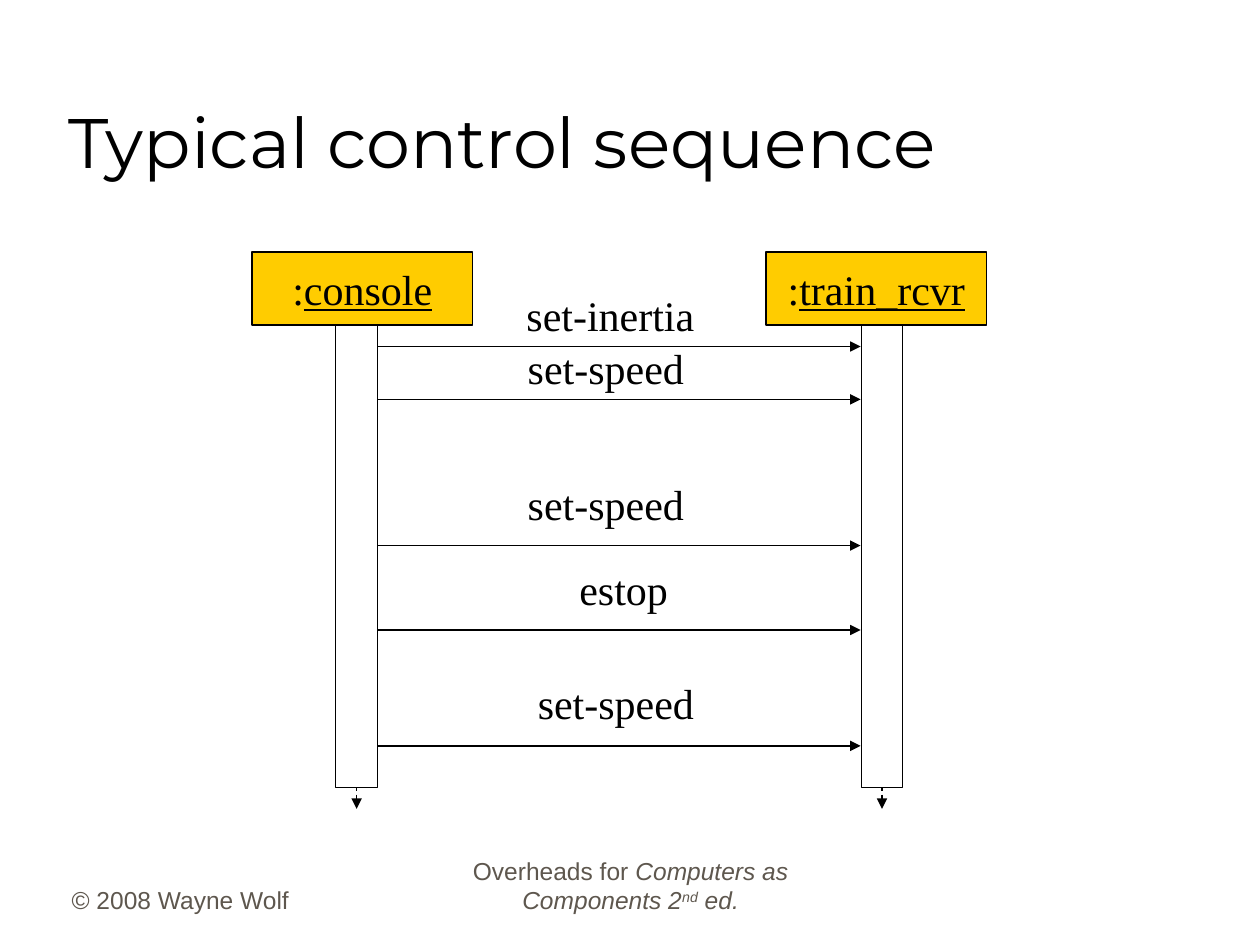
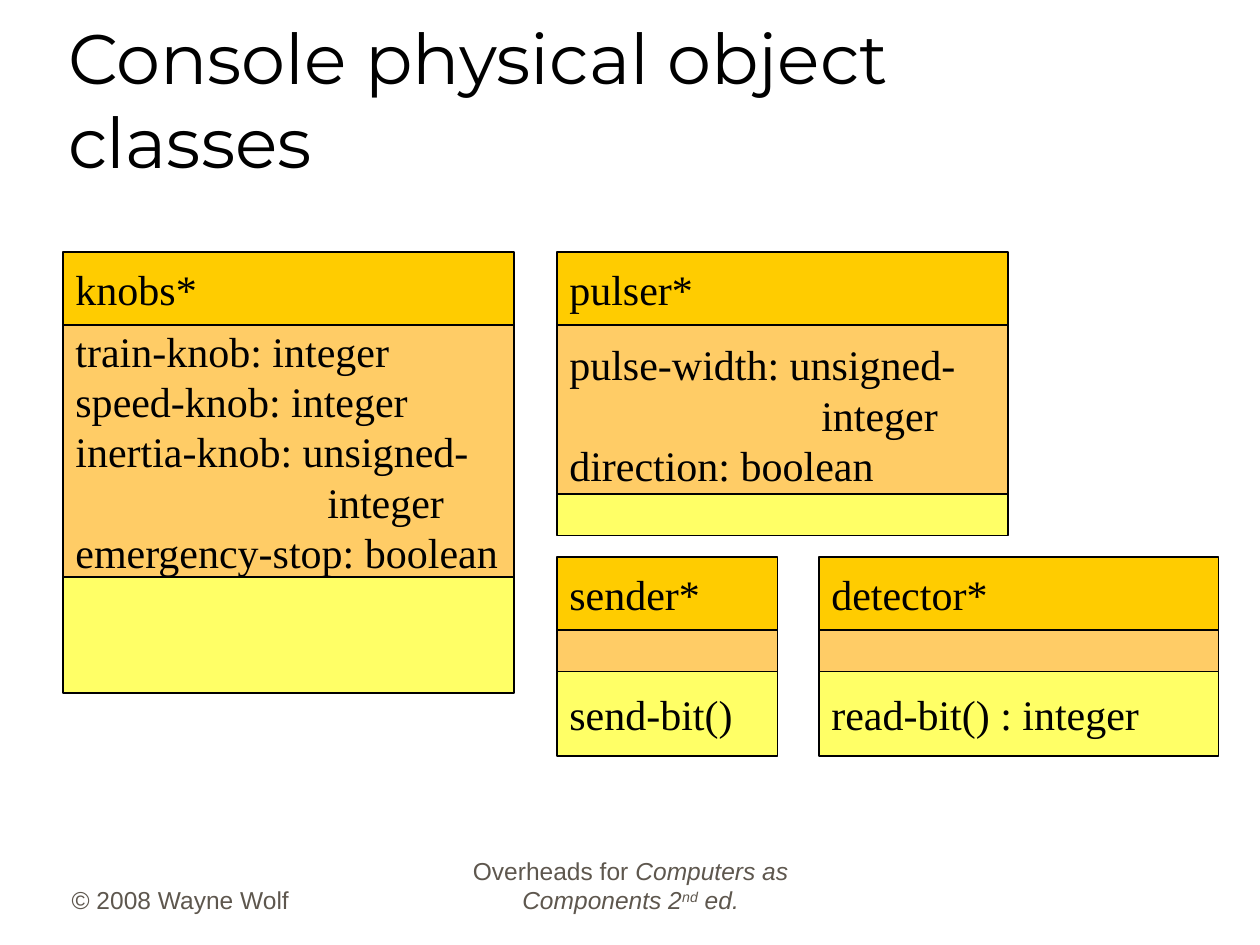
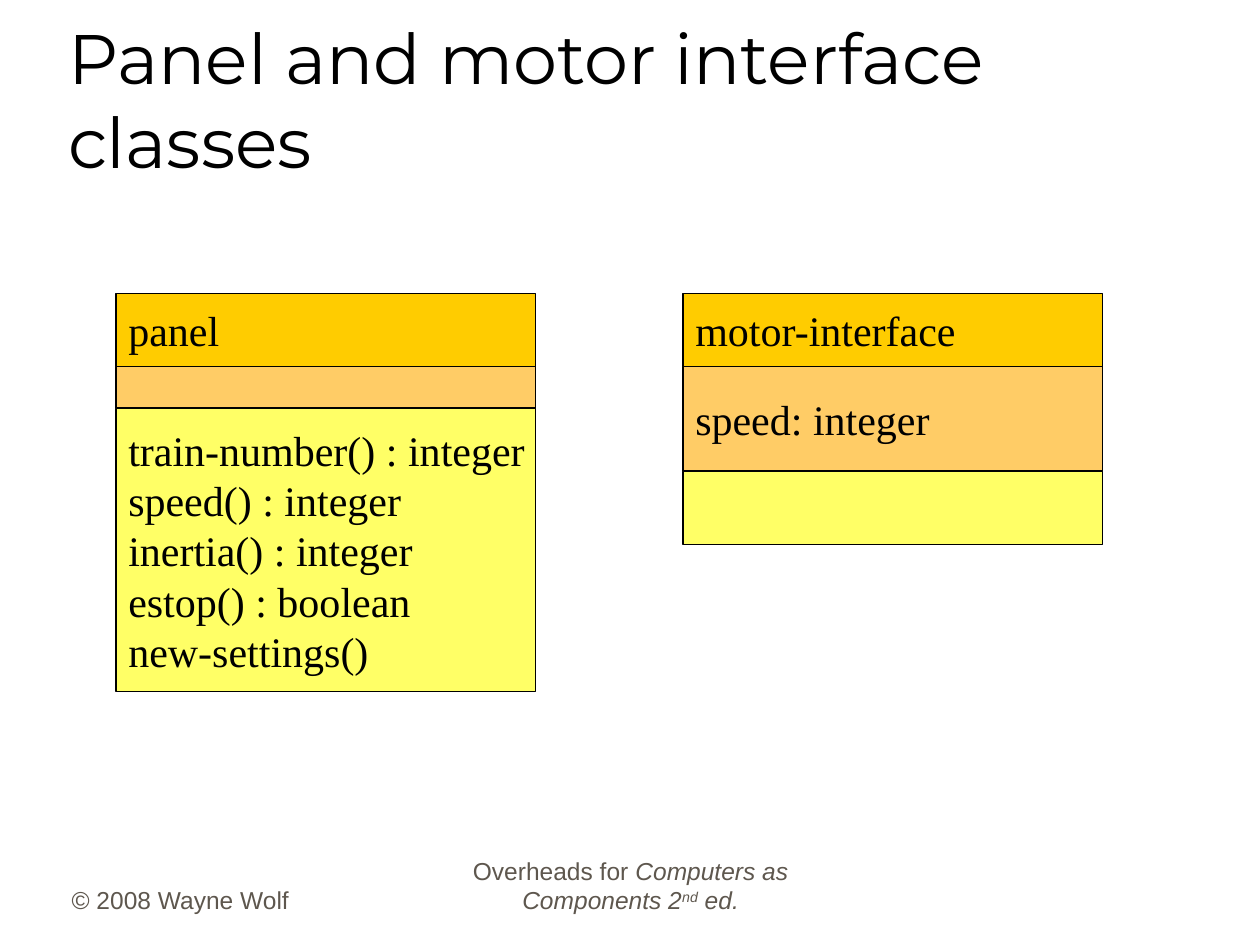
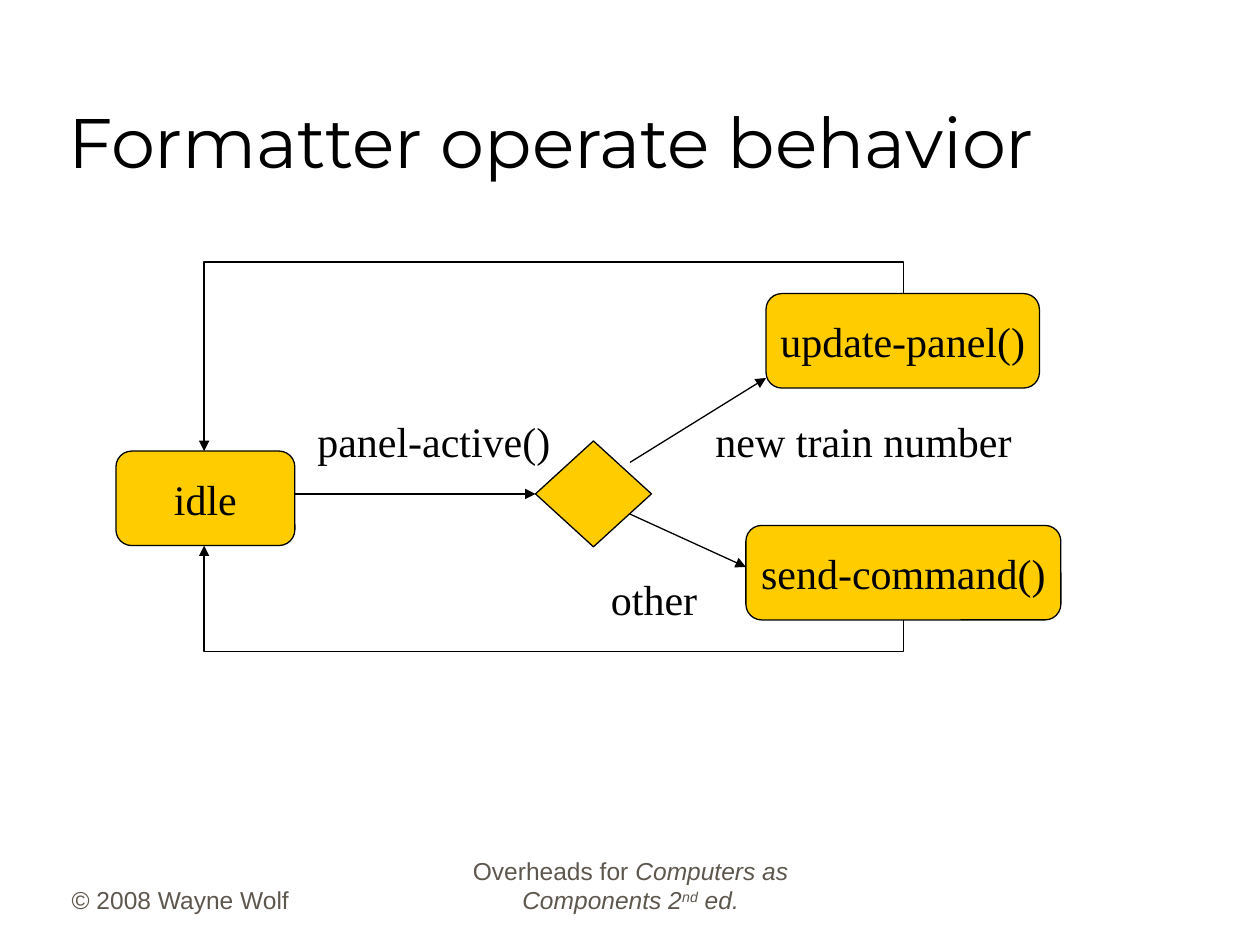
from dataclasses import dataclass

import pptx
import pptx.dml.color
import pptx.enum.dml
import pptx.enum.shapes
import pptx.enum.text
import pptx.oxml
import pptx.oxml.ns
import pptx.presentation
import pptx.shapes.autoshape
import pptx.shapes.connector
import pptx.slide
import pptx.text.text
import pptx.util

Inches = pptx.util.Inches
Pt = pptx.util.Pt
RGBColor = pptx.dml.color.RGBColor
Kind = pptx.enum.shapes.MSO_SHAPE
Link = pptx.enum.shapes.MSO_CONNECTOR
Align = pptx.enum.text.PP_ALIGN
Anchor = pptx.enum.text.MSO_ANCHOR
Fit = pptx.enum.text.MSO_AUTO_SIZE
Slide = pptx.slide.Slide
Shape = pptx.shapes.autoshape.Shape
Wire = pptx.shapes.connector.Connector
Line = pptx.text.text._Paragraph
make = pptx.oxml.ns.qn

BLACK = RGBColor(0x00, 0x00, 0x00)
WHITE = RGBColor(0xFF, 0xFF, 0xFF)
GREY = RGBColor(0x5E, 0x57, 0x4E)
GOLD = RGBColor(0xFF, 0xCC, 0x00)
ORANGE = RGBColor(0xFF, 0xCC, 0x66)
YELLOW = RGBColor(0xFF, 0xFF, 0x66)

BODY = "Times New Roman"
THIN = Pt(0.75)
HEAD = 0.58
SLIM = 0.33
TOP, LEFT = 0, 1


@dataclass(frozen=True)
class Style:
    font: str
    size: int
    color: RGBColor


@dataclass(frozen=True)
class Piece:
    text: str
    under: bool = False
    slant: bool = False
    raised: bool = False


@dataclass(frozen=True)
class Label:
    text: str
    left: float
    top: float
    width: float


@dataclass(frozen=True)
class Part:
    height: float
    lines: tuple[str, ...] = ()
    lap: float = 0


@dataclass(frozen=True)
class Class:
    name: str
    left: float
    top: float
    width: float
    fields: Part
    calls: Part


@dataclass(frozen=True)
class Call:
    label: Label
    level: float


TITLE = Style("Montserrat", 40, BLACK)
TEXT = Style(BODY, 24, BLACK)
FOOT = Style("Arial", 14, GREY)


def write(line: Line, pieces: list[Piece], style: Style) -> None:
    for piece in pieces:
        run = line.add_run()
        run.text = piece.text
        run.font.name = style.font
        run.font.size = Pt(style.size)
        run.font.color.rgb = style.color
        if piece.under:
            run.font.underline = True
        if piece.slant:
            run.font.italic = True
        if piece.raised:
            run.font._element.set("baseline", "30000")


def set_tabs(line: Line) -> None:
    props = line._p.get_or_add_pPr()
    stops = props.makeelement(make("a:tabLst"), {})
    for inch in range(8):
        spot = {"pos": str(Inches(inch)), "algn": "l"}
        stops.append(stops.makeelement(make("a:tab"), spot))
    props.append(stops)


def fill_text(shape: Shape, lines: list[list[Piece]], align: Align) -> None:
    frame = shape.text_frame
    frame.word_wrap = False
    frame.vertical_anchor = Anchor.MIDDLE
    for index, pieces in enumerate(lines):
        line = frame.paragraphs[0] if index == 0 else frame.add_paragraph()
        line.alignment = align
        set_tabs(line)
        write(line, pieces, TEXT)


def add_box(slide: Slide, kind: Kind, left: float, top: float, width: float,
            height: float, color: RGBColor) -> Shape:
    box = slide.shapes.add_shape(kind, Inches(left), Inches(top), Inches(width), Inches(height))
    box.shadow.inherit = False
    box.fill.solid()
    box.fill.fore_color.rgb = color
    box.line.color.rgb = BLACK
    box.line.width = THIN
    return box


def add_label(slide: Slide, label: Label) -> None:
    box = slide.shapes.add_textbox(Inches(label.left), Inches(label.top),
                                   Inches(label.width), Inches(0.5))
    box.text_frame.word_wrap = False
    box.text_frame.auto_size = Fit.SHAPE_TO_FIT_TEXT
    write(box.text_frame.paragraphs[0], [Piece(label.text)], TEXT)


def add_wire(slide: Slide, kind: Link, start: tuple[float, float],
             end: tuple[float, float]) -> Wire:
    wire = slide.shapes.add_connector(kind, *(Inches(n) for n in start + end))
    wire.line.color.rgb = BLACK
    wire.line.width = THIN
    stroke = wire.line._get_or_add_ln()
    stroke.append(stroke.makeelement(make("a:tailEnd"), {"type": "triangle"}))
    props = wire._element.spPr
    props.append(props.makeelement(make("a:effectLst"), {}))
    return wire


def add_arrow(slide: Slide, start: tuple[float, float], end: tuple[float, float]) -> Wire:
    return add_wire(slide, Link.STRAIGHT, start, end)


def add_loop(slide: Slide, start: tuple[float, float], end: tuple[float, float],
             reach: float) -> None:
    mid_x, mid_y = (start[0] + end[0]) / 2, (start[1] + end[1]) / 2
    rise, span = abs(start[1] - end[1]), abs(start[0] - end[0])
    way = 1 if end[1] > start[1] else -1
    wire = add_wire(slide, Link.ELBOW,
                    (mid_x - rise / 2, mid_y - way * span / 2),
                    (mid_x + rise / 2, mid_y + way * span / 2))
    wire.rotation = 90 if way == 1 else 270
    shape = wire._element.spPr.find(make("a:prstGeom"))
    bends = shape.find(make("a:avLst"))
    if bends is None:
        bends = shape.makeelement(make("a:avLst"), {})
        shape.append(bends)
    bend = round(-reach / rise * 100000)
    bends.append(bends.makeelement(make("a:gd"), {"name": "adj1", "fmla": f"val {bend}"}))


def add_foot(slide: Slide, left: float, width: float, align: Align,
             pieces: list[Piece]) -> None:
    box = slide.shapes.add_textbox(Inches(left), Inches(6.81), Inches(width), Inches(0.5))
    frame = box.text_frame
    frame.word_wrap = True
    frame.vertical_anchor = Anchor.BOTTOM
    line = frame.paragraphs[0]
    line.alignment = align
    line.space_before = Pt(8.8)
    write(line, pieces, FOOT)


def add_slide(deck: pptx.presentation.Presentation, name: str) -> Slide:
    slide = deck.slides.add_slide(deck.slide_layouts[5])
    add_foot(slide, 0.47, 2.08, Align.LEFT, [Piece("© 2008 Wayne Wolf")])
    add_foot(slide, 3.42, 3.17, Align.CENTER, [
        Piece("Overheads for "),
        Piece("Computers as Components 2", slant=True),
        Piece("nd", slant=True, raised=True),
        Piece(" ed.", slant=True),
    ])
    title = slide.shapes.title
    title.left, title.top = Inches(0.44), Inches(0.25)
    title.width, title.height = Inches(8.5), Inches(1.25)
    frame = title.text_frame
    frame.word_wrap = True
    frame.auto_size = Fit.NONE
    frame.vertical_anchor = Anchor.BOTTOM
    frame.paragraphs[0].alignment = Align.LEFT
    write(frame.paragraphs[0], [Piece(name)], TITLE)
    return slide


def add_class(slide: Slide, item: Class) -> None:
    top = item.top
    parts = (Part(HEAD, (item.name,)), item.fields, item.calls)
    for part, color in zip(parts, (GOLD, ORANGE, YELLOW)):
        box = add_box(slide, Kind.RECTANGLE, item.left, top, item.width, part.height, color)
        fill_text(box, [[Piece(text)] for text in part.lines], Align.LEFT)
        top += part.height - part.lap


def add_state(slide: Slide, text: str, left: float, top: float, width: float) -> None:
    box = add_box(slide, Kind.ROUNDED_RECTANGLE, left, top, width, 0.75, GOLD)
    box.adjustments[0] = 0.167
    fill_text(box, [[Piece(text)]], Align.CENTER)


def draw_control(deck: pptx.presentation.Presentation) -> None:
    slide = add_slide(deck, "Typical control sequence")
    for name, left, axis in (("console", 2, 2.83), ("train_rcvr", 6.08, 7)):
        head = add_box(slide, Kind.RECTANGLE, left, 2, 1.75, HEAD, GOLD)
        fill_text(head, [[Piece(":"), Piece(name, under=True)]], Align.CENTER)
        life = add_arrow(slide, (axis, 2.58), (axis, 6.42))
        life.line.dash_style = pptx.enum.dml.MSO_LINE.DASH
        bar = add_box(slide, Kind.RECTANGLE, axis - SLIM / 2, 2.58, SLIM, 3.67, WHITE)
        life.begin_connect(bar, TOP)
    calls = (
        Call(Label("set-inertia", 4.08, 2.25, 1.56), 2.75),
        Call(Label("set-speed", 4.09, 2.67, 1.46), 3.17),
        Call(Label("set-speed", 4.09, 3.75, 1.46), 4.33),
        Call(Label("estop", 4.5, 4.42, 0.93), 5),
        Call(Label("set-speed", 4.17, 5.33, 1.46), 5.92),
    )
    for call in calls:
        add_label(slide, call.label)
        add_arrow(slide, (3, call.level), (6.83, call.level))


def draw_classes(deck: pptx.presentation.Presentation, title: str,
                 items: tuple[Class, ...]) -> None:
    slide = add_slide(deck, title)
    for item in items:
        add_class(slide, item)


def draw_format(deck: pptx.presentation.Presentation) -> None:
    slide = add_slide(deck, "Formatter operate behavior")
    add_state(slide, "idle", 0.92, 3.58, 1.42)
    add_state(slide, "update-panel()", 6.08, 2.33, 2.17)
    add_state(slide, "send-command()", 5.92, 4.17, 2.5)
    choice = add_box(slide, Kind.DIAMOND, 4.25, 3.5, 0.92, 0.84, GOLD)
    for label in (
        Label("panel-active()", 2.42, 3.25, 2.07),
        Label("new train number", 5.58, 3.25, 2.57),
        Label("other", 4.75, 4.5, 0.91),
    ):
        add_label(slide, label)
    add_arrow(slide, (2.33, 3.92), (4.25, 3.92)).end_connect(choice, LEFT)
    add_arrow(slide, (5, 3.67), (6.08, 3))
    add_arrow(slide, (5, 4.08), (5.92, 4.5))
    add_loop(slide, (7.17, 4.92), (1.62, 4.33), 0.25)
    add_loop(slide, (7.17, 2.33), (1.62, 3.58), 0.25)


KNOBS = ("train-knob: integer", "speed-knob: integer", "inertia-knob: unsigned-",
         "\t\tinteger", "emergency-stop: boolean")
PULSE = ("pulse-width: unsigned-", "\t\tinteger", "direction: boolean")
PANEL = ("train-number() : integer", "speed() : integer", "inertia() : integer",
         "estop() : boolean", "new-settings()")

CONSOLE = (
    Class("knobs*", 0.5, 2, 3.58, Part(2, KNOBS), Part(0.92)),
    Class("pulser*", 4.42, 2, 3.58, Part(1.42, PULSE, 0.08), Part(SLIM)),
    Class("sender*", 4.42, 4.42, 1.75, Part(SLIM), Part(0.67, ("send-bit()",))),
    Class("detector*", 6.5, 4.42, 3.17, Part(SLIM), Part(0.67, ("read-bit() : integer",))),
)
MOTOR = (
    Class("panel", 0.92, 2.33, 3.33, Part(SLIM), Part(2.25, PANEL)),
    Class("motor-interface", 5.42, 2.33, 3.33, Part(0.83, ("speed: integer",)), Part(HEAD)),
)


def main() -> None:
    deck = pptx.Presentation()
    deck.slide_width, deck.slide_height = Inches(10), Inches(7.5)
    draw_control(deck)
    draw_classes(deck, "Console physical object classes", CONSOLE)
    draw_classes(deck, "Panel and motor interface classes", MOTOR)
    draw_format(deck)
    deck.save("out.pptx")


if __name__ == "__main__":
    main()
